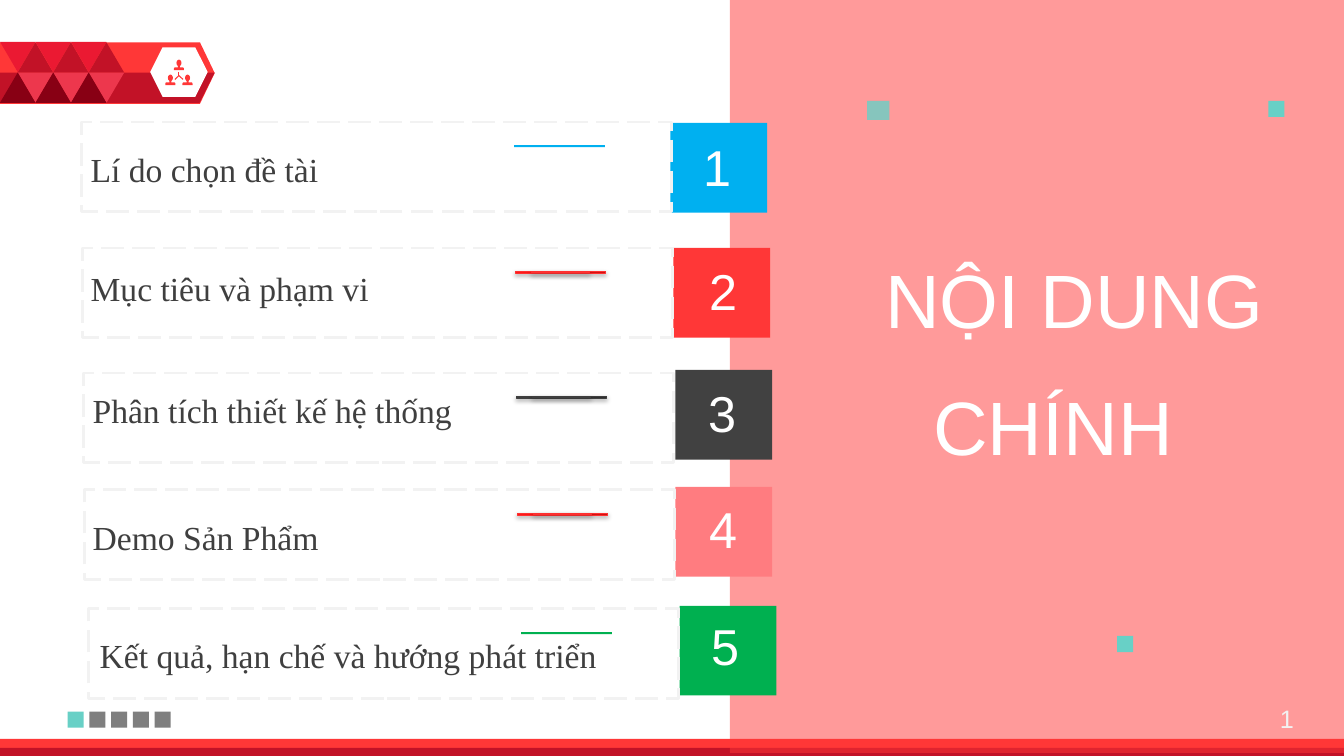
from lxml import etree
from pptx import Presentation
from pptx import util as u
from pptx.dml import color
from pptx.enum import dml, shapes, text
from pptx.oxml import ns

COLORS = {
    "red": "FF3737", "crimson": "C21227", "scarlet": "EB1932", "rose": "ED374D",
    "maroon": "880014", "white": "FFFFFF", "teal": "68D0C6", "gray": "7F7F7F",
    "pale": "F2F2F2", "ink": "3F3F3F", "blue": "00B0F0", "charcoal": "414141",
    "salmon": "FF7C80", "green": "00B050", "red_line": "FD3030",
    "red_dark": "D11111", "red_light": "FF1818", "ink_dark": "2F2F2F",
    "ink_light": "3E3E3E", "black": "000000",
}
FORMATS = {
    "title": {"size": u.Pt(54), "name": "Arial"},
    "number": {"size": u.Pt(36), "name": "Arial"},
    "label": {"size": u.Pt(24), "name": "Times New Roman"},
    "page": {"size": u.Pt(18), "name": "Arial"},
}
FRAME = {
    "word_wrap": True, "auto_size": text.MSO_AUTO_SIZE.NONE,
    "vertical_anchor": text.MSO_ANCHOR.TOP,
    "margin_left": u.Inches(0.1), "margin_right": u.Inches(0.1),
    "margin_top": u.Inches(0.05), "margin_bottom": u.Inches(0.05),
}
KIND = shapes.MSO_SHAPE
ALIGN = text.PP_ALIGN


def apply(target, values):
    for name, value in values.items():
        setattr(target, name, value)


def rgb(name):
    return color.RGBColor.from_string(COLORS[name])


class Board:
    """Draws styled elements on one slide, in grid cells of a tenth of an inch."""

    def __init__(self, deck, cell=u.Inches(0.1)):
        self.slide = deck.slides.add_slide(deck.slide_layouts[6])
        self.cell = cell

    def grid(self, *cells):
        return [round(count * self.cell) for count in cells]

    def alpha(self, owner, percent):
        etree.SubElement(owner, ns.qn("a:alpha"), val=str(percent * 1000))

    def paint(self, figure, fill, opacity=100):
        figure.shadow.inherit = False
        figure.line.fill.background()
        figure.fill.solid()
        figure.fill.fore_color.rgb = rgb(fill)
        if opacity < 100:
            self.alpha(next(figure.fill._xPr.iter(ns.qn("a:srgbClr"))), opacity)

    def block(self, place, fill, kind=KIND.RECTANGLE, opacity=100, rotation=0, adjust=None):
        block = self.slide.shapes.add_shape(kind, *self.grid(*place))
        self.paint(block, fill, opacity)
        block.rotation = rotation
        if adjust is not None:
            block.adjustments[0] = adjust
        return block

    def outline(self, place):
        frame = self.block(place, "white")
        frame.fill.background()
        frame.line.color.rgb = rgb("pale")
        apply(frame.line, {"width": u.Pt(2), "dash_style": dml.MSO_LINE.LONG_DASH})

    def polygon(self, points, fill):
        corners = [self.grid(*point) for point in points]
        builder = self.slide.shapes.build_freeform(*corners[0], scale=1.0)
        builder.add_line_segments(corners[1:], close=True)
        self.paint(builder.convert_to_shape(), fill)

    def spoke(self, start, end):
        spoke = self.slide.shapes.add_connector(
            shapes.MSO_CONNECTOR.STRAIGHT, *self.grid(*start, *end))
        spoke.line.color.rgb = rgb("red")
        spoke.line.width = u.Pt(0.75)
        etree.SubElement(spoke._element.spPr, ns.qn("a:effectLst"))

    def person(self, x, y):
        self.block((x - 0.25, y, 0.5, 0.65), "red", KIND.OVAL)
        self.block((x - 0.1, y + 0.5, 0.2, 0.4), "red")
        self.block((x - 0.5, y + 0.76, 1, 0.28), "red", KIND.ROUND_2_SAME_RECTANGLE, adjust=0.5)

    def words(self, place, wording, style, ink, align=ALIGN.LEFT):
        frame = self.slide.shapes.add_textbox(*self.grid(*place)).text_frame
        apply(frame, FRAME)
        paragraph = frame.paragraphs[0]
        paragraph.alignment = align
        run = paragraph.add_run()
        run.text = wording
        apply(run.font, FORMATS[style])
        run.font.color.rgb = rgb(ink)

    def accent(self, x, y, fill, glow=None):
        for place in ((x, y, 0.2, 9), (x + 0.05, y + 1.6, 0.1, 5.8)):
            bar = self.block(place, fill, rotation=270)
            if glow:
                edge, *stops = glow
                bar.fill.gradient()
                bar.fill.gradient_angle = 90
                for stop, shade in zip(bar.fill.gradient_stops, stops):
                    stop.color.rgb = rgb(shade)
                bar.line.color.rgb = rgb(edge)
                bar.line.width = u.Pt(0.75)
                self.drop_shadow(bar)

    def drop_shadow(self, bar):
        effects = bar._element.spPr.find(ns.qn("a:effectLst"))
        shade = etree.SubElement(effects, ns.qn("a:outerShdw"), blurRad=str(u.Pt(3.1)),
                                 dist=str(u.Pt(1.8)), dir="5400000", rotWithShape="0")
        tint = etree.SubElement(shade, ns.qn("a:srgbClr"), val=COLORS["black"])
        self.alpha(tint, 35)


def draw_banner(board):
    board.block((0, 4.2, 21.3, 6.1), "red", KIND.PENTAGON, adjust=0.24)
    board.polygon([(0, 7.2), (21.3, 7.2), (19.8, 10.2), (0, 10.2)], "crimson")
    board.block((14.9, 4.7, 5.7, 4.9), "white", KIND.HEXAGON, adjust=0.25)
    hub = (17.75, 7.5)
    for end in ((17.75, 7.1), (17.35, 7.88), (18.15, 7.88)):
        board.spoke(hub, end)
    for x, y in ((17.75, 5.92), (16.9, 7.4), (18.6, 7.4)):
        board.person(x, y)
    for step in range(3):
        x = 3.52 * step
        for left, top, fill, turn in ((x, 4.15, "scarlet", 180), (x + 1.76, 4.2, "crimson", 0),
                                      (x + 1.76, 7.2, "rose", 180), (x, 7.2, "maroon", 0)):
            board.block((left, top, 3.52, 3), fill, KIND.ISOSCELES_TRIANGLE, rotation=turn)


def draw_panel(board):
    board.block((0, 73.3, 133.3, 1.6), "red")
    board.block((0, 74.2, 133.3, 0.8), "crimson")
    board.block((72.4, 0, 60.9, 74.7), "red", opacity=50)
    board.words((59.6, 24.6, 66.7, 10.1), "NỘI DUNG", "title", "white", ALIGN.RIGHT)
    board.words((50.6, 37.2, 66.7, 10.1), "CHÍNH", "title", "white", ALIGN.RIGHT)
    board.block((86, 10, 2.2, 1.9), "teal", opacity=80)
    for x, y in ((110.8, 63.1), (125.8, 10)):
        board.block((x, y, 1.6, 1.6), "teal")
    for step in range(5):
        board.block((6.7 + 2.16 * step, 70.6, 1.6, 1.6), "gray" if step else "teal")
    board.words((123.4, 69.3, 5.9, 4), "1", "page", "pale", ALIGN.RIGHT)


def draw_agenda(board):
    red_glow = ("red_line", "red_dark", "red_light")
    ink_glow = ("ink", "ink_dark", "ink_light")
    agenda = [
        ("Lí do chọn đề tài", "blue", None,
         (8.1, 12.1), (66.5, 12.2), (67.7, 13), (8, 14.3)),
        ("Mục tiêu và phạm vi", "red", red_glow,
         (8.2, 24.6), (66.8, 24.6), (68.3, 25.3), (8, 26.1)),
        ("Phân tích thiết kế hệ thống", "charcoal", ink_glow,
         (8.3, 37), (67, 36.7), (68.2, 37.4), (8.2, 38.2)),
        ("Demo Sản Phẩm", "salmon", red_glow,
         (8.4, 48.6), (67, 48.3), (68.3, 48.9), (8.2, 50.8)),
        ("Kết quả, hạn chế và hướng phát triển", "green", None,
         (8.8, 60.4), (67.4, 60.1), (68.5, 60.5), (8.9, 62.5)),
    ]
    for order, (topic, fill, glow, frame, square, digit, label) in enumerate(agenda, 1):
        board.block((*square, 9.6, 8.9), fill)
        board.words((*digit, 7, 7.1), str(order), "number", "white", ALIGN.CENTER)
        board.accent(frame[0] + 47.3, frame[1] - 2.1, fill, glow)
        board.outline((*frame, 58.5, 8.9))
        board.words((*label, 53.1, 5), topic, "label", "ink")


def main():
    deck = Presentation()
    apply(deck, {"slide_width": u.Inches(13.33), "slide_height": u.Inches(7.5)})
    board = Board(deck)
    draw_banner(board)
    draw_panel(board)
    draw_agenda(board)
    deck.save("out.pptx")


if __name__ == "__main__":
    main()
